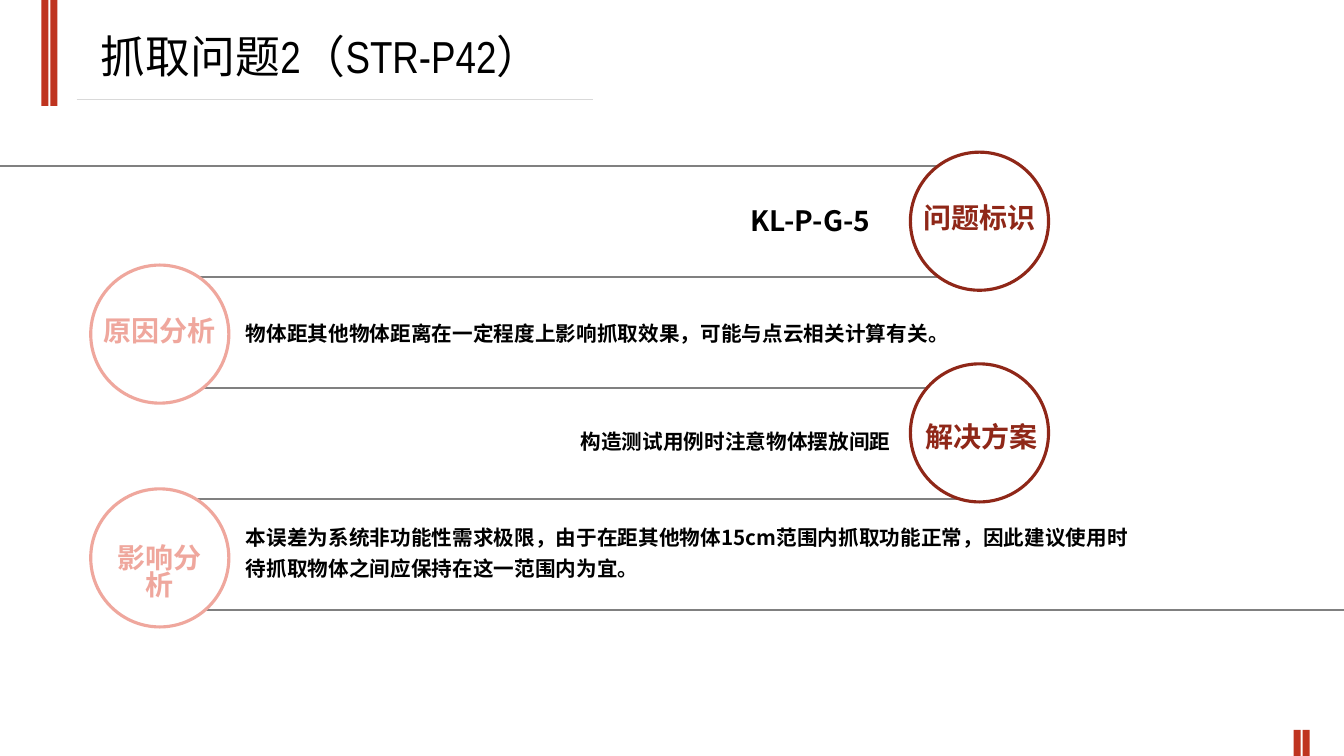
from dataclasses import dataclass

from lxml.etree import SubElement
from pptx import Presentation
from pptx.dml.color import RGBColor
from pptx.enum.shapes import MSO_CONNECTOR, MSO_SHAPE
from pptx.enum.text import MSO_ANCHOR, PP_ALIGN
from pptx.oxml.ns import qn
from pptx.util import Inches, Pt


@dataclass(frozen=True)
class Theme:
    bar: str = "BF3420"
    dark: str = "8F2718"
    light: str = "EFA79D"
    rule: str = "808080"
    title_rule: str = "D9D9D9"
    white: str = "FFFFFF"
    text: str = "000000"
    cjk_font: str = "Noto Sans CJK SC"
    title_font: str = "Arial Narrow"
    title_size: float = 32
    label_size: float = 20
    body_size: float = 14.7


T = Theme()


def add_line(x1, x2, y, color, width):
    line = slide.shapes.add_connector(
        MSO_CONNECTOR.STRAIGHT, Inches(x1), Inches(y), Inches(x2), Inches(y))
    line.line.color.rgb = RGBColor.from_string(color)
    line.line.width = Pt(width)
    SubElement(line._element.spPr, qn("a:effectLst"))


def write(sp, text, size, color, align, spacing, font=T.cjk_font, bold=True):
    """Fill the first paragraph with one run, in a Latin and an East Asian font."""
    p = sp.text_frame.paragraphs[0]
    p.alignment = align
    p.line_spacing = spacing
    r = p.add_run()
    r.text = text
    r.font.size = Pt(size)
    r.font.bold = bold
    r.font.name = font
    r.font.color.rgb = RGBColor.from_string(color)
    SubElement(r.font._element, qn("a:ea"), typeface=T.cjk_font)


prs = Presentation()
prs.slide_width, prs.slide_height = Inches(13.33), Inches(7.5)
slide = prs.slides.add_slide(prs.slide_layouts[5])

# Title
title = slide.shapes.title
title.left, title.top = Inches(0.9), Inches(0.23)
title.width, title.height = Inches(8.67), Inches(0.64)
title.text_frame.vertical_anchor = MSO_ANCHOR.MIDDLE
write(title, "抓取问题2（STR-P42）", T.title_size, T.text, PP_ALIGN.LEFT, 1.0,
      font=T.title_font, bold=False)

# Paired bars at the top left and bottom right
for x, y, height in [(0.41, 0, 1.05), (0.5, 0, 1.05),
                     (12.83, 7.24, 0.26), (12.92, 7.24, 0.26)]:
    bar = slide.shapes.add_shape(
        MSO_SHAPE.RECTANGLE, Inches(x), Inches(y), Inches(0.07), Inches(height))
    bar.shadow.inherit = False
    bar.fill.solid()
    bar.fill.fore_color.rgb = RGBColor.from_string(T.bar)
    bar.line.fill.background()

# Rules
add_line(0.76, 5.88, 0.99, T.title_rule, 0.75)
spans = [(0, 9.43), (1.6, 9.75), (1.6, 9.43), (1.6, 9.75), (1.6, 13.33)]
for i, (x1, x2) in enumerate(spans):
    add_line(x1, x2, 1.65 + 1.1 * i, T.rule, 1.5)

# Circles with their labels: circle left, circle top, color, label, label box
LEFT, RIGHT, DIAMETER = 0.9, 9.03, 1.37
topics = [
    (RIGHT, 1.51, T.dark, "问题标识", (9.06, 1.97, 1.31), False),
    (LEFT, 2.63, T.light, "原因分析", (0.93, 3.09, 1.31), False),
    (RIGHT, 3.61, T.dark, "解决方案", (9.08, 4.15, 1.31), False),
    (LEFT, 4.85, T.light, "影响分析", (1.04, 5.35, 1.09), True),
]
for x, y, color, label, (label_x, label_y, label_w), wrap in topics:
    circle = slide.shapes.add_shape(
        MSO_SHAPE.OVAL, Inches(x), Inches(y), Inches(DIAMETER), Inches(DIAMETER))
    circle.shadow.inherit = False
    circle.fill.solid()
    circle.fill.fore_color.rgb = RGBColor.from_string(T.white)
    circle.line.color.rgb = RGBColor.from_string(color)
    circle.line.width = Pt(2.25)
    box = slide.shapes.add_textbox(
        Inches(label_x), Inches(label_y), Inches(label_w), Inches(0.44))
    box.text_frame.word_wrap = wrap
    box.text_frame.margin_top = Inches(0.08)
    write(box, label, T.label_size, color, PP_ALIGN.CENTER, 0.8)

# Details beside the circles
details = [
    (5.53, 1.89, 3.2, 0.6, "KL-P-G-5", T.label_size, PP_ALIGN.RIGHT),
    (2.34, 3.08, 9.07, 0.47, "物体距其他物体距离在一定程度上影响抓取效果，可能与点云相关计算有关。",
     T.body_size, PP_ALIGN.LEFT),
    (0.27, 4.15, 8.66, 0.47, "构造测试用例时注意物体摆放间距", T.body_size, PP_ALIGN.RIGHT),
    (2.34, 5.1, 9.07, 0.84,
     "本误差为系统非功能性需求极限，由于在距其他物体15cm范围内抓取功能正常，"
     "因此建议使用时待抓取物体之间应保持在这一范围内为宜。", T.body_size, PP_ALIGN.LEFT),
]
for x, y, width, height, text, size, align in details:
    box = slide.shapes.add_textbox(
        Inches(x), Inches(y), Inches(width), Inches(height))
    box.text_frame.word_wrap = True
    write(box, text, size, T.text, align, 1.24)

prs.save("out.pptx")
